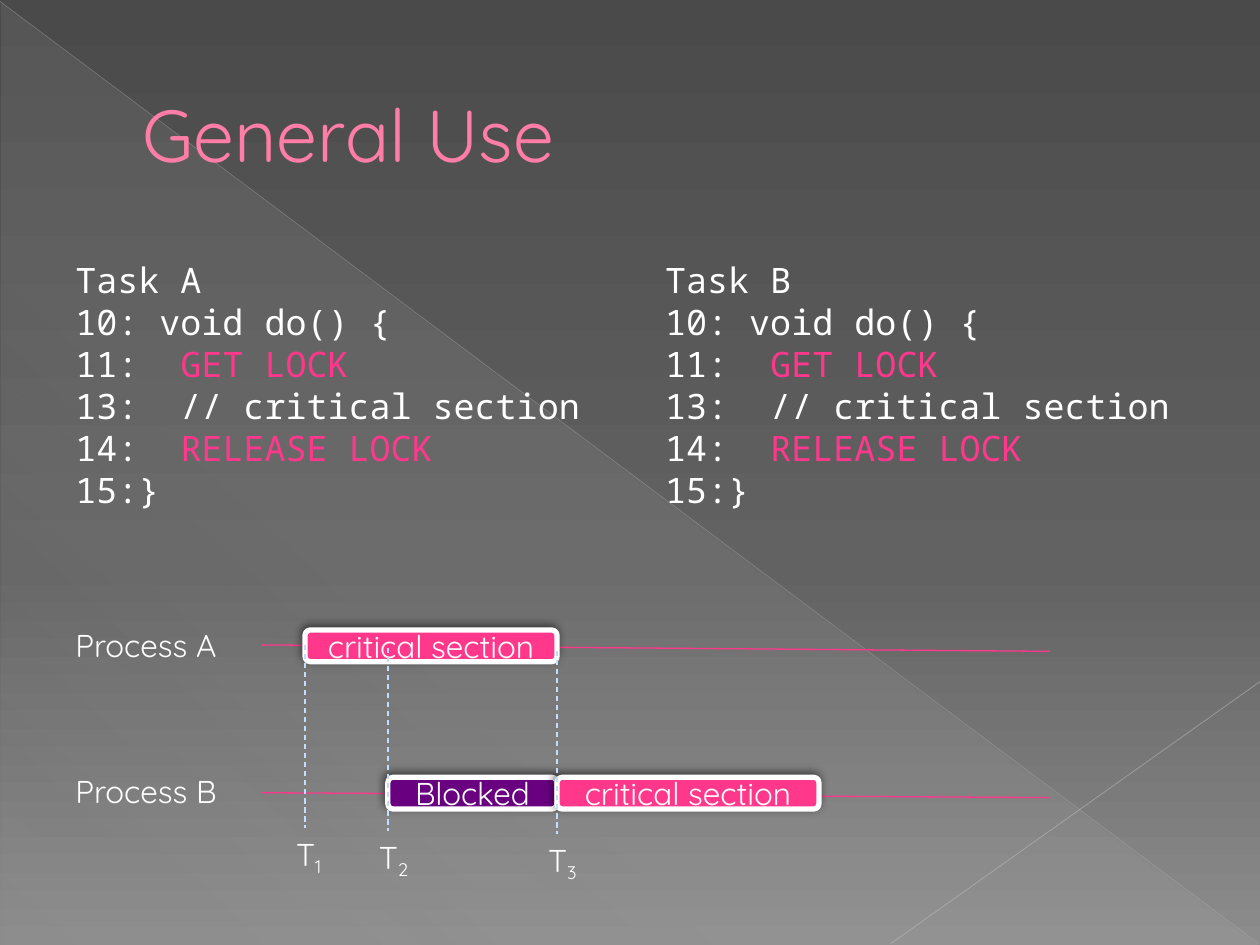
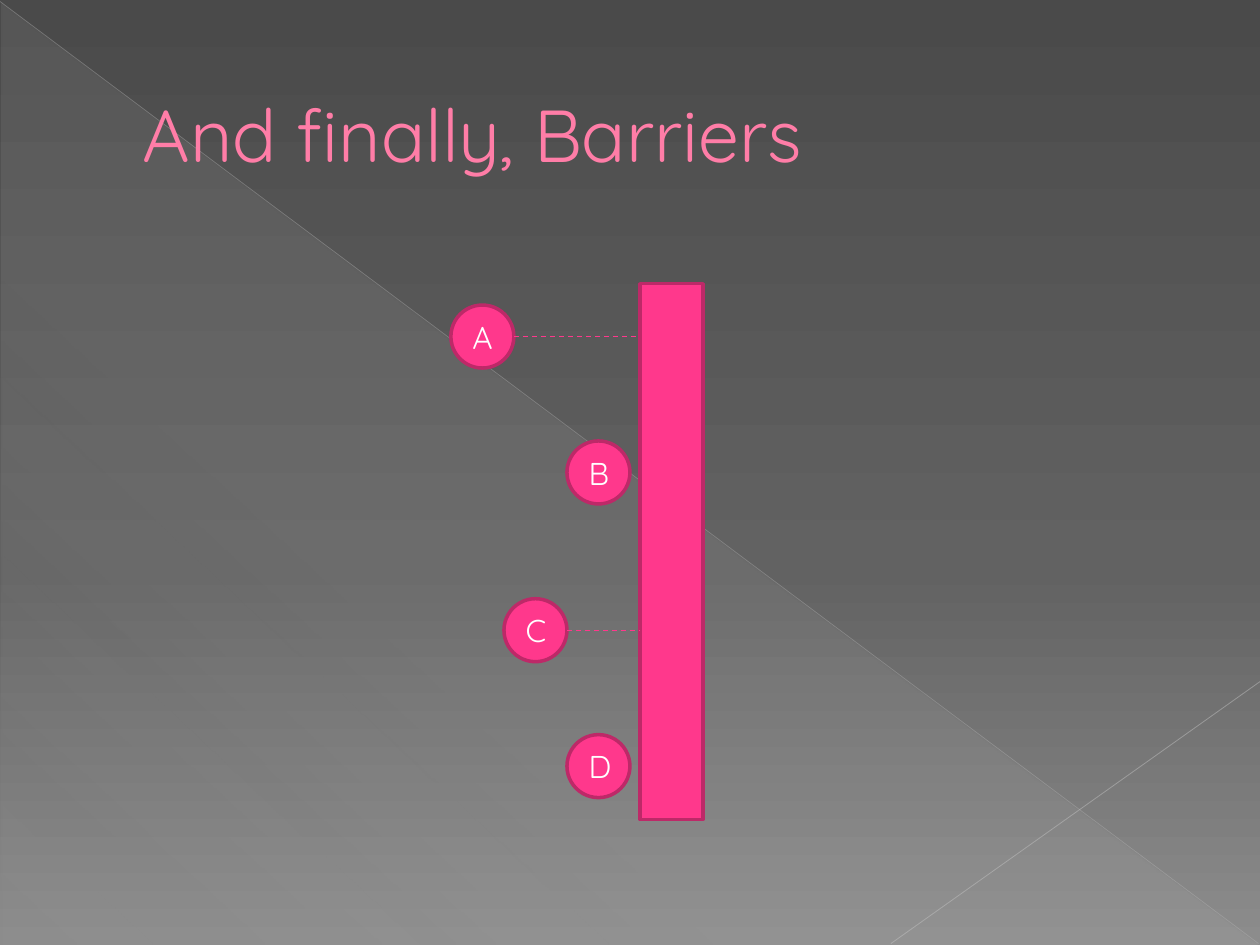
"""Two slides on locks and barriers, on a shared dark background."""
from pptx import Presentation
from pptx import util as u
from pptx.dml.color import RGBColor
from pptx.enum import dml, shapes, text
from pptx.oxml import ns, parse_xml

Cm, Pt = u.Cm, u.Pt
COLORS = {
    "pink": "FF388C", "title": "FF7DA7", "title edge": "B12761",
    "edge": "BD2968", "purple": "68007F", "white": "FFFFFF",
    "guide": "C3DDFF", "veil": "D2D2D2", "diagonal": "BFBFBF",
    "corner": "C6C6C6", "top": "4A4A4A", "middle": "626262",
    "bottom": "8C8C8C", "shadow": "000000",
}
SANS, MONO = "Quicksand", "Noto Sans Mono"
NODE = 1.27  # diameter of a process circle and width of the barrier, cm


def color(name):
    """Return a named colour."""
    return RGBColor.from_string(COLORS[name])


def color_xml(name, alpha=100):
    """Return the XML of a colour with its opacity in percent."""
    return (f'<a:srgbClr val="{COLORS[name]}">'
            f'<a:alpha val="{alpha * 1000}"/></a:srgbClr>')


def set_gradient(fill, element, stops, angle):
    """Give a fill, kept in element, stops of (position, colour, opacity)."""
    fill.gradient()
    old = element.find(".//" + ns.qn("a:gradFill"))
    stop_xml = "".join(f'<a:gs pos="{position * 1000}">{color_xml(name, alpha)}</a:gs>'
                       for position, name, alpha in stops)
    old.getparent().replace(old, parse_xml(
        f'<a:gradFill {ns.nsdecls("a")} rotWithShape="1"><a:gsLst>{stop_xml}</a:gsLst>'
        f'<a:lin ang="{angle * 60000}" scaled="0"/></a:gradFill>'))


def add_run(paragraph, words, size=18, font=SANS, fill="white"):
    """Add one formatted run."""
    run = paragraph.add_run()
    run.text = words
    run.font.size = Pt(size)
    run.font.name = font
    run.font.color.rgb = color(fill)
    return run


def add_text_box(slide, left, top, width, height):
    """Add an empty wrapping text box and return its text frame."""
    frame = slide.shapes.add_textbox(Cm(left), Cm(top), Cm(width), Cm(height)).text_frame
    frame.word_wrap = True
    return frame


def add_line(slide, start, end, name, width=0.75, dashed=False, alpha=100):
    """Add a straight line between two points."""
    line = slide.shapes.add_connector(
        shapes.MSO_CONNECTOR.STRAIGHT, *[Cm(value) for value in (*start, *end)])
    line.line.color.rgb = color(name)
    line.line.width = Pt(width)
    if dashed:
        line.line.dash_style = dml.MSO_LINE.DASH
    if alpha < 100:
        old = line.element.spPr.find(".//" + ns.qn("a:srgbClr"))
        old.append(parse_xml(f'<a:alpha {ns.nsdecls("a")} val="{alpha * 1000}"/>'))
    line.element.spPr.append(parse_xml(f'<a:effectLst {ns.nsdecls("a")}/>'))
    return line


def add_block(slide, kind, box, fill="pink", edge="edge", width=2, label=None):
    """Add a filled, outlined shape with an optional centred label."""
    block = slide.shapes.add_shape(kind, *[Cm(value) for value in box])
    block.shadow.inherit = False
    block.fill.solid()
    block.fill.fore_color.rgb = color(fill)
    block.line.color.rgb = color(edge)
    block.line.width = Pt(width)
    if label:
        frame = block.text_frame
        frame.vertical_anchor = text.MSO_ANCHOR.MIDDLE
        paragraph = frame.paragraphs[0]
        paragraph.alignment = text.PP_ALIGN.CENTER
        add_run(paragraph, label)
    return block


def add_phase(slide, start, end, top, fill, label):
    """Add a bar with a shadow for one phase of a process."""
    bar = add_block(slide, shapes.MSO_SHAPE.ROUNDED_RECTANGLE,
                    (start, top, end - start, 0.64), fill, "white", 3, label)
    effects = bar.element.spPr.find(ns.qn("a:effectLst"))
    effects.append(parse_xml(
        f'<a:outerShdw {ns.nsdecls("a")} blurRad="{Pt(5)}" dist="{Pt(2)}" '
        f'dir="{245 * 60000}" rotWithShape="0">{color_xml("shadow", 50)}</a:outerShdw>'))


def add_code(slide, left, task):
    """Add the listing of one task."""
    lines = [[(f"Task {task}", "white")],
             [("10: void do() {", "white")],
             [("11:  ", "white"), ("GET LOCK", "pink")],
             [("13:  // critical section", "white")],
             [("14:  ", "white"), ("RELEASE LOCK", "pink")],
             [("15:}", "white")]]
    frame = add_text_box(slide, left, 5.08, 10.77, 5.38)
    for index, parts in enumerate(lines):
        paragraph = frame.add_paragraph() if index else frame.paragraphs[0]
        for words, fill in parts:
            add_run(paragraph, words, 20, MONO, fill)


def add_titled_slide(presentation, layout, words):
    """Add a slide and format its title."""
    slide = presentation.slides.add_slide(layout)
    title = slide.shapes.title
    title.left, title.top, title.width, title.height = Cm(1.27), Cm(0.74), Cm(22.86), Cm(3.89)
    frame = title.text_frame
    frame.auto_size = text.MSO_AUTO_SIZE.NONE
    frame.vertical_anchor = text.MSO_ANCHOR.MIDDLE
    paragraph = frame.paragraphs[0]
    paragraph.alignment = text.PP_ALIGN.LEFT
    properties = paragraph._p.get_or_add_pPr()
    properties.set("marL", str(Cm(1.35)))
    properties.set("indent", "0")
    run = add_run(paragraph, words, 42, SANS, "title")
    run.font._element.insert(0, parse_xml(
        f'<a:ln {ns.nsdecls("a")} w="{Pt(0.5)}"><a:solidFill>'
        f'{color_xml("title edge")}</a:solidFill></a:ln>'))
    return slide


def decorate_layout(presentation, layout, slide):
    """Set the master background and move the decoration to the layout."""
    master = presentation.slide_master
    set_gradient(master.background.fill, master.element,
                 [(0, "top", 100), (60, "middle", 100), (100, "bottom", 100)], 90)
    triangle = slide.shapes.add_shape(shapes.MSO_SHAPE.RIGHT_TRIANGLE,
                                      Cm(0.03), Cm(0.05), Cm(25.35), Cm(19))
    triangle.shadow.inherit = False
    triangle.line.fill.background()
    set_gradient(triangle.fill, triangle.element,
                 [(0, "veil", 10), (70, "veil", 8), (100, "veil", 1)], 133)
    diagonal = add_line(slide, (0, 0.03), (25.37, 19.02), "diagonal", 0.39, alpha=35)
    corner = add_line(slide, (25.4, 13.74), (17.96, 19.02), "corner", 0.47, alpha=45)
    for index, shape in enumerate((triangle, diagonal, corner)):
        next(shape.element.iter(ns.qn("p:cNvPr"))).set("id", str(100 + index))
        layout.shapes.element.insert(2 + index, shape.element)


def draw_lock_use(slide):
    """Draw two listings and the timeline of both processes."""
    add_code(slide, 1.27, "A")
    add_code(slide, 13.16, "B")
    for name, top, start, end in (("A", 12.5, 13, 13.13), ("B", 15.44, 15.98, 16.08)):
        frame = add_text_box(slide, 1.27, top, 4.01, 1.02)
        add_run(frame.paragraphs[0], f"Process {name}")
        add_line(slide, (5.28, start), (21.16, end), "pink")
    times = locked, waiting, released = 6.15, 7.82, 11.23
    add_phase(slide, locked, released, 12.7, "pink", "critical section")
    add_phase(slide, waiting, released, 15.67, "purple", "Blocked")
    add_phase(slide, released, 16.51, 15.67, "pink", "critical section")
    for index, time in enumerate(times):
        top = 13 + 0.06 * index
        bottom = top + 3.7
        add_line(slide, (time, top), (time, bottom), "guide", dashed=True)
        paragraph = add_text_box(slide, time - 0.43, bottom, 1.47, 1.02).paragraphs[0]
        add_run(paragraph, "T")
        subscript = add_run(paragraph, str(index + 1))
        subscript.font._element.set("baseline", "-25000")


def draw_barrier(slide):
    """Draw four processes that arrive at a barrier."""
    barrier = 12.9
    add_block(slide, shapes.MSO_SHAPE.RECTANGLE, (barrier, 5.72, NODE, 10.8))
    processes = [("A", 9.09, 6.15, True), ("B", 11.43, 8.89, False),
                 ("C", 10.16, 12.07, True), ("D", 11.43, 14.81, False)]
    for name, left, top, is_linked in processes:
        add_block(slide, shapes.MSO_SHAPE.OVAL, (left, top, NODE, NODE), label=name)
        if is_linked:
            middle = top + NODE / 2
            add_line(slide, (left + NODE, middle), (barrier, middle), "pink", dashed=True)


def main():
    """Build and save the presentation."""
    presentation = Presentation()
    presentation.slide_width, presentation.slide_height = Cm(25.4), Cm(19.05)
    layout = presentation.slide_layouts.get_by_name("Title Only")
    lock_slide = add_titled_slide(presentation, layout, "General Use")
    decorate_layout(presentation, layout, lock_slide)
    draw_lock_use(lock_slide)
    draw_barrier(add_titled_slide(presentation, layout, "And finally, Barriers"))
    presentation.save("out.pptx")


main()
